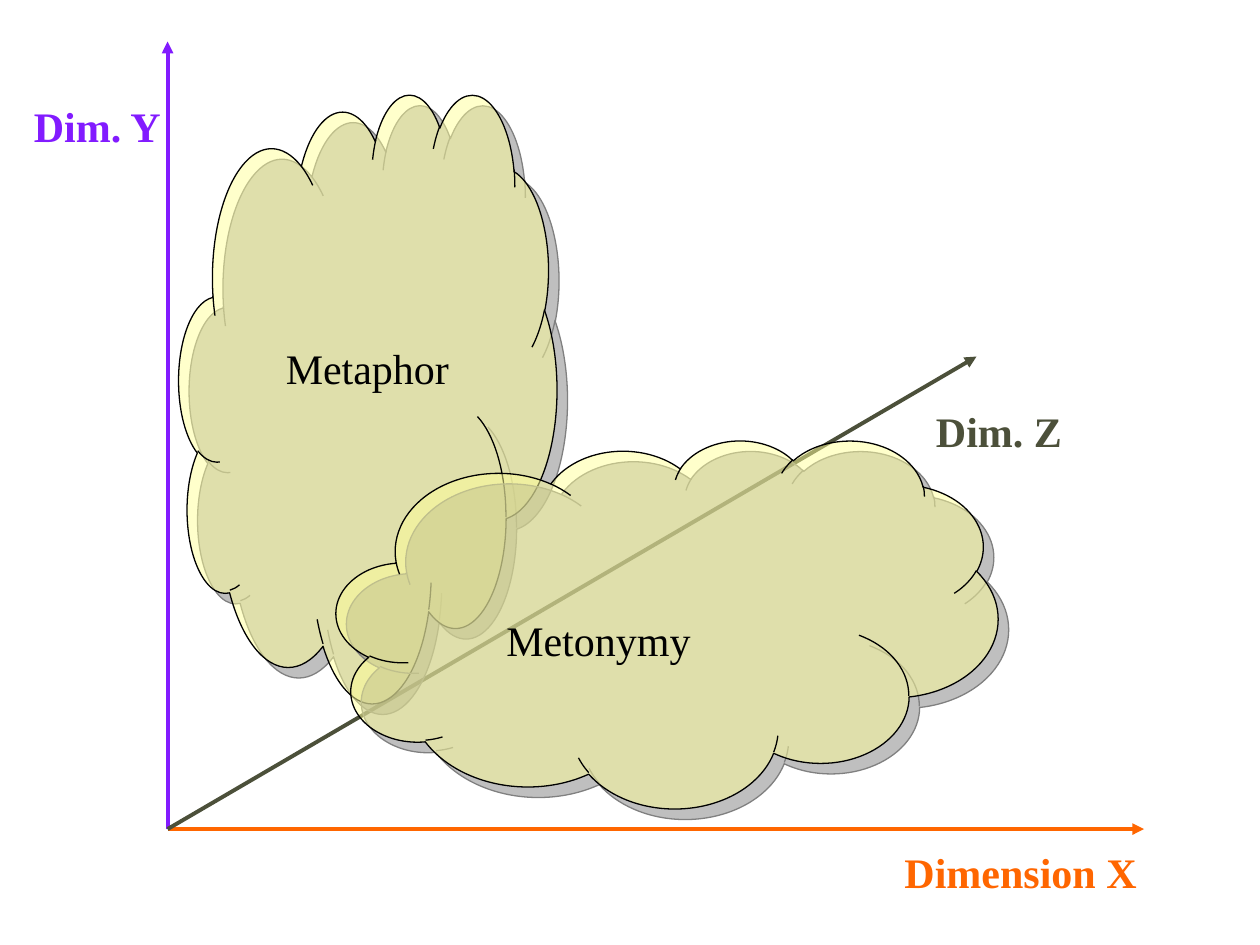
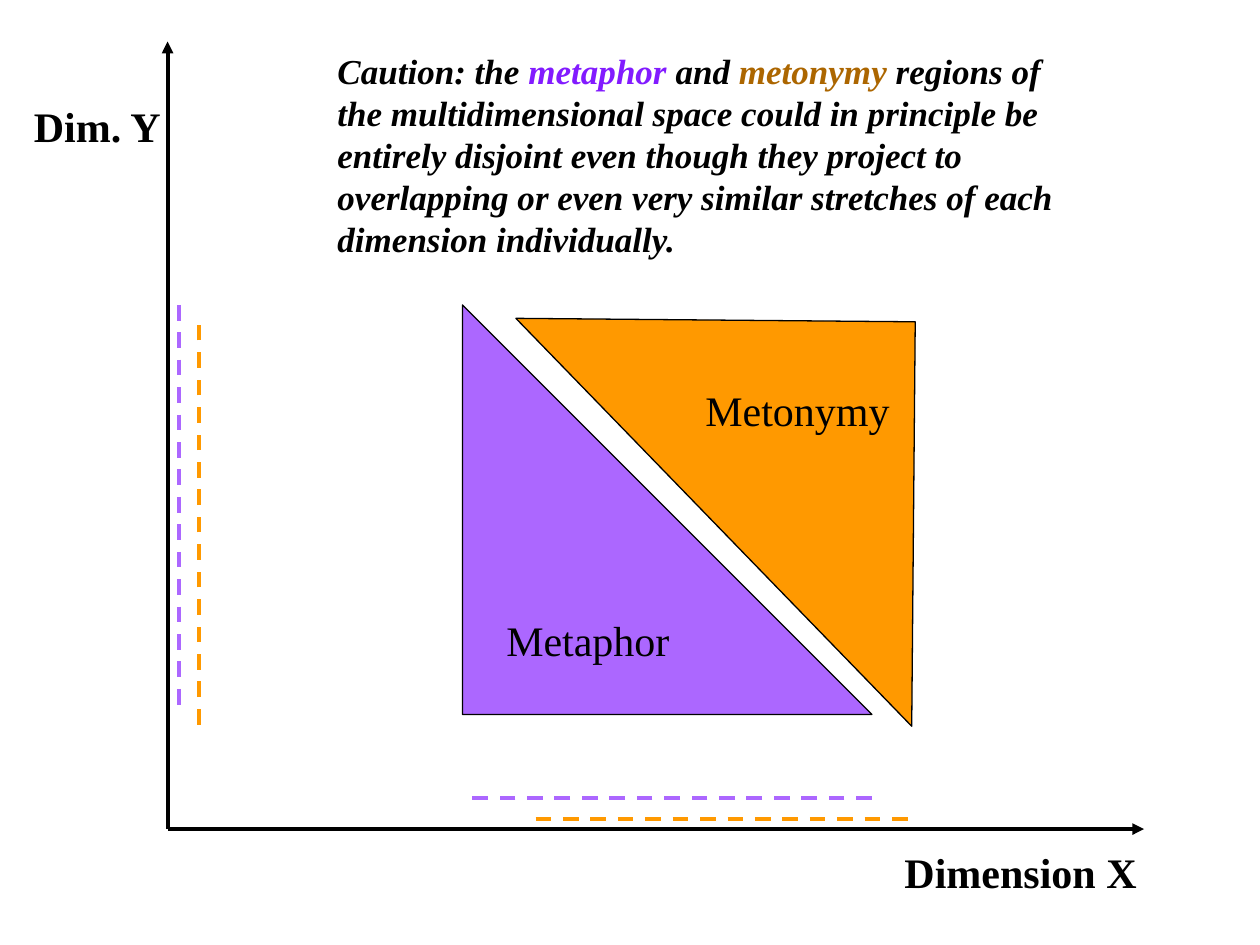
from pptx import Presentation
from pptx.dml.color import RGBColor as Rgb
from pptx.enum.dml import MSO_LINE as Dash
from pptx.enum.shapes import MSO_CONNECTOR as Link, MSO_SHAPE as Form
from pptx.enum.text import MSO_AUTO_SIZE as Fit
from pptx.oxml import parse_xml
from pptx.oxml.ns import nsdecls, qn
from pptx.util import Inches, Pt
from lxml import etree

FONT = "Times New Roman"
INK = {
    "black": "000000",
    "violet": "821BFF",
    "lilac": "AC67FF",
    "red": "FF6600",
    "orange": "FF9900",
    "brown": "AC6600",
    "olive": "4C503A",
    "cream": "FFFF99",
    "grey": "808080",
}
ORIGIN = (1.33, 6.58)
TOP = (1.33, 0.33)
RIGHT = (9.08, 6.58)
DEEP = (7.75, 2.83)


def color(name):
    return Rgb.from_string(INK[name])


def add_line(slide, start, end, ink):
    ends = [Inches(v) for v in (*start, *end)]
    line = slide.shapes.add_connector(Link.STRAIGHT, *ends)
    line.line.color.rgb = color(ink)
    line.line.width = Pt(2.25)
    etree.SubElement(line._element.spPr, qn("a:effectLst"))
    return line


def add_axis(slide, end, ink):
    axis = add_line(slide, ORIGIN, end, ink)
    tip = etree.SubElement(axis.line._get_or_add_ln(), qn("a:tailEnd"))
    tip.set("type", "triangle")


def add_span(slide, start, end, ink):
    add_line(slide, start, end, ink).line.dash_style = Dash.DASH


def add_text(slide, box, parts, size=24, bold=False, italic=False, wrap=True):
    frame = slide.shapes.add_textbox(*[Inches(v) for v in box]).text_frame
    frame.word_wrap = wrap
    frame.auto_size = Fit.SHAPE_TO_FIT_TEXT
    para = frame.paragraphs[0]
    for text, ink in parts:
        run = para.add_run()
        run.text = text
        font = run.font
        font.name, font.size = FONT, Pt(size)
        font.bold, font.italic = bold, italic
        font.color.rgb = color(ink)


def add_name(slide, text, left, top, width):
    add_text(slide, (left, top, width, 0.5), [(text, "black")], wrap=False)


def add_label(slide, text, left, top, width, ink):
    add_text(slide, (left, top, width, 0.5), [(text, ink)], bold=True)


def add_form(slide, form, box, ink):
    shape = slide.shapes.add_shape(form, *[Inches(v) for v in box])
    shape.shadow.inherit = False
    shape.fill.solid()
    shape.fill.fore_color.rgb = color(ink)
    shape.line.color.rgb = color("black")
    shape.line.width = Pt(0.75)
    return shape


def add_cloud(slide, box):
    props = add_form(slide, Form.CLOUD, box, "cream")._element.spPr
    tint = props.find(qn("a:solidFill")).find(qn("a:srgbClr"))
    etree.SubElement(tint, qn("a:alpha")).set("val", "50000")
    props.find(qn("a:effectLst")).append(parse_xml(
        f'<a:outerShdw {nsdecls("a")} dist="{Pt(8.5)}" dir="2700000" '
        f'algn="ctr" rotWithShape="0"><a:srgbClr val="{INK["grey"]}"/>'
        '</a:outerShdw>'))


def add_plane(slide, up, across):
    add_axis(slide, TOP, up)
    add_axis(slide, RIGHT, across)
    add_label(slide, "Dimension X", 7.08, 6.67, 2.25, across)
    add_label(slide, "Dim. Y", 0.17, 0.75, 1.25, up)


def draw_clouds(slide):
    add_plane(slide, "violet", "red")
    add_axis(slide, DEEP, "olive")
    add_label(slide, "Dim. Z", 7.33, 3.17, 1.25, "olive")
    add_cloud(slide, (1.42, 0.74, 3, 4.83))
    add_cloud(slide, (2.67, 3.49, 5.25, 2.92))
    add_name(slide, "Metaphor", 2.17, 2.67, 1.5)
    add_name(slide, "Metonymy", 3.92, 4.83, 1.66)


def draw_regions(slide):
    add_form(slide, Form.RIGHT_TRIANGLE, (3.67, 2.42, 3.25, 3.25), "lilac")
    upper = add_form(slide, Form.RIGHT_TRIANGLE, (4.08, 2.54, 3.17, 3.21), "orange")
    upper.rotation = 180.5
    add_plane(slide, "black", "black")
    add_name(slide, "Metaphor", 3.92, 4.83, 1.5)
    add_name(slide, "Metonymy", 5.5, 3, 1.66)
    add_span(slide, (4.25, 6.5), (7.25, 6.5), "orange")
    add_span(slide, (1.42, 2.42), (1.42, 5.67), "lilac")
    parts = [
        ("Caution: the ", "black"),
        ("metaphor", "violet"),
        (" and ", "black"),
        ("metonymy ", "brown"),
        ("regions of the multidimensional space could in principle be "
         "entirely disjoint even though they project to overlapping or even "
         "very similar stretches of each dimension individually.", "black"),
    ]
    add_text(slide, (2.58, 0.34, 5.92, 1.77), parts, 20, bold=True, italic=True)
    add_span(slide, (1.58, 5.75), (1.58, 2.58), "orange")
    add_span(slide, (6.92, 6.33), (3.67, 6.33), "lilac")


def main():
    deck = Presentation()
    deck.slide_width, deck.slide_height = Inches(10), Inches(7.5)
    for draw in (draw_clouds, draw_regions):
        draw(deck.slides.add_slide(deck.slide_layouts[6]))
    deck.save("out.pptx")


if __name__ == "__main__":
    main()
